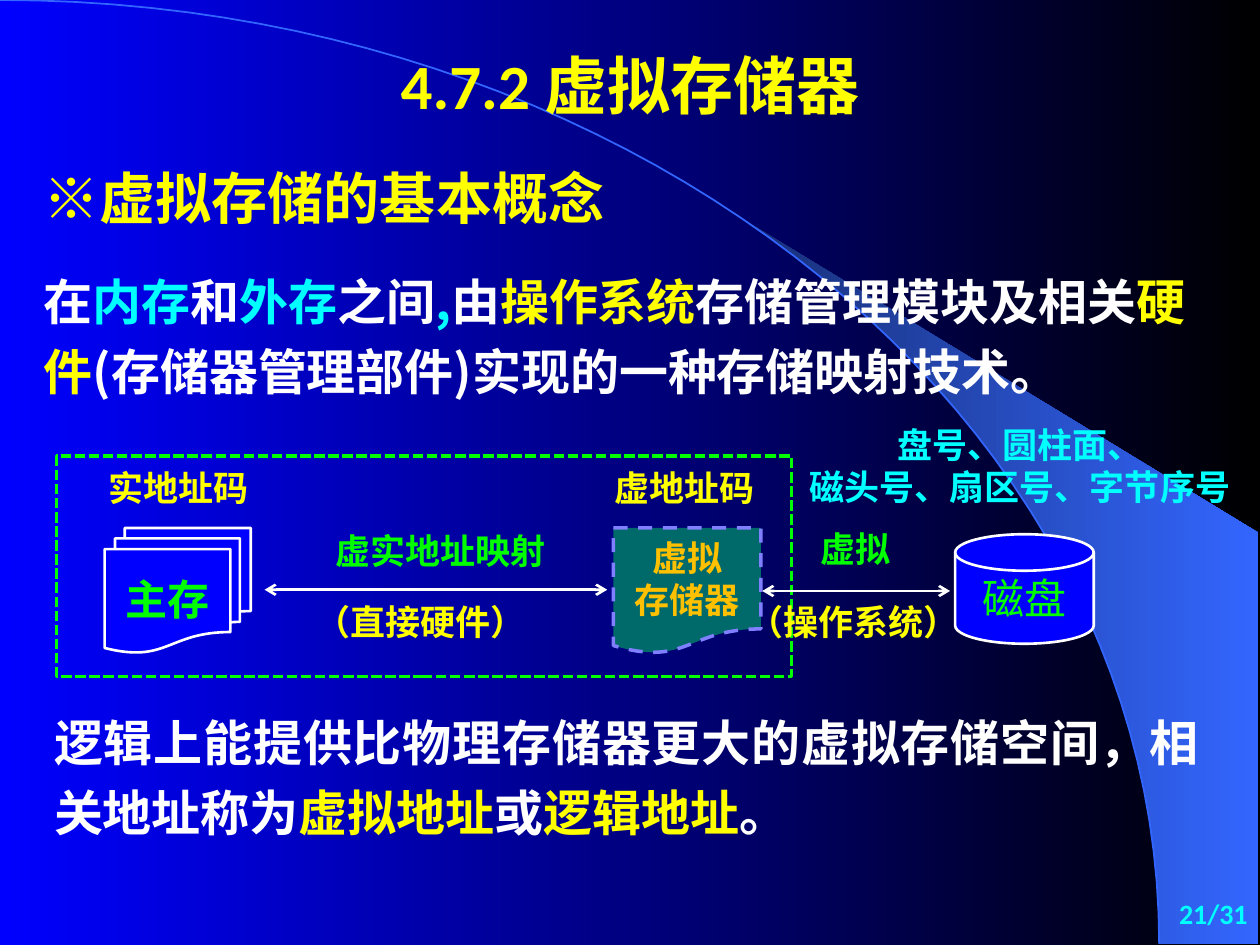
from lxml import etree
from pptx import Presentation
from pptx import util as u
from pptx.dml.color import RGBColor
from pptx.enum import dml, shapes, text
from pptx.oxml.ns import qn

Pt = u.Pt
CJK = "Noto Sans CJK SC"
WHITE, YELLOW, CYAN, GREEN, BLUE = "FFFFFF", "FFFF00", "00FFFF", "00FF00", "0000FF"
ALIGN, ANCHOR = text.PP_ALIGN, text.MSO_ANCHOR
KIND, DASH = shapes.MSO_SHAPE, dml.MSO_LINE


def color(value):
    return RGBColor.from_string(value)


def write(shape, paragraphs, size, font="Arial", bold=True, spacing=None,
          align=ALIGN.CENTER, anchor=ANCHOR.MIDDLE, wrap=False):
    frame = shape.text_frame
    margins = {"margin_left": 7.2, "margin_right": 7.2, "margin_top": 3.6, "margin_bottom": 3.6}
    for name, value in margins.items():
        setattr(frame, name, Pt(value))
    for name, value in {"word_wrap": wrap, "vertical_anchor": anchor}.items():
        setattr(frame, name, value)
    for index, runs in enumerate(paragraphs):
        paragraph = frame.add_paragraph() if index else frame.paragraphs[0]
        layout = {"alignment": align, "line_spacing": spacing, "space_before": Pt(0)}
        for name, value in layout.items():
            setattr(paragraph, name, value)
        for words, run_color in runs:
            run = paragraph.add_run()
            run.text = words
            for name, value in {"name": font, "size": Pt(size), "bold": bold}.items():
                setattr(run.font, name, value)
            run.font.color.rgb = color(run_color)
            etree.SubElement(run.font._element, qn("a:ea"), typeface=CJK)


presentation = Presentation()
presentation.slide_width, presentation.slide_height = Pt(720), Pt(540)
slide = presentation.slides.add_slide(presentation.slide_layouts[5])

curve = []
for step in range(51):
    t = step / 50
    x = 3 * 365.8 * t * (1 - t) ** 2 + 3 * 662.4 * t ** 2 * (1 - t) + 662.4 * t ** 3
    y = 3 * 241.2 * t ** 2 * (1 - t) + 539.3 * t ** 3
    curve.append((Pt(x), Pt(y)))

crescent_points = curve[22:] + [(Pt(719.3), Pt(539.3)), (Pt(719.3), Pt(304.6))]
builder = slide.shapes.build_freeform(*crescent_points[0])
builder.add_line_segments(crescent_points[1:], close=True)
crescent = builder.convert_to_shape()
crescent.shadow.inherit = False
crescent.line.fill.background()

builder = slide.shapes.build_freeform(*curve[0])
builder.add_line_segments(curve[1:], close=False)
arc = builder.convert_to_shape()
arc.shadow.inherit = False
arc.fill.background()
arc.line.color.rgb, arc.line.width = color("3366FF"), Pt(1)

gradients = [(slide.background.fill, BLUE, "000000"), (crescent.fill, "182F76", "3366FF")]
for fill, first, last in gradients:
    fill.gradient()
    fill.gradient_angle = 0
    for stop, position, value in zip(fill.gradient_stops, (0, 1), (first, last)):
        stop.position = position
        stop.color.rgb = color(value)

title = slide.shapes.title
slide.shapes._spTree.append(title._element)
for name, value in {"left": 24, "top": 18, "width": 672, "height": 60}.items():
    setattr(title, name, Pt(value))
write(title, [[("4.7.2 虚拟存储器", YELLOW)]], 36, "Calibri", wrap=True)

diagram = [
    (KIND.RECTANGLE, (32.4, 260.6, 419.8, 126), None, GREEN, 2, DASH.SQUARE_DOT, [], {}),
    (KIND.FLOWCHART_MULTIDOCUMENT, (59.8, 301.7, 83.5, 71.3), BLUE, WHITE, 1.5, None,
     [[("主存", GREEN)]], {"size": 24}),
    (KIND.FLOWCHART_MAGNETIC_DISK, (545.8, 305.3, 79.2, 62.6), BLUE, WHITE, 1.5, None,
     [[("磁盘", GREEN)]], {"size": 24, "bold": False}),
    (KIND.FLOWCHART_DOCUMENT, (350.6, 301.7, 84.2, 72), "006A6A", "7F7FFF", 2, DASH.DASH,
     [[("虚拟", "FFC000")], [("存储器", "FFC000")]], {"size": 20, "font": CJK, "wrap": True}),
]
for kind, box, fill, line, width, dash, words, style in diagram:
    shape = slide.shapes.add_shape(kind, *map(Pt, box))
    shape.shadow.inherit = False
    if fill:
        shape.fill.solid()
        shape.fill.fore_color.rgb = color(fill)
    else:
        shape.fill.background()
    shape.line.color.rgb = color(line)
    for name, value in {"width": Pt(width), "dash_style": dash}.items():
        setattr(shape.line, name, value)
    if words:
        write(shape, words, **style)

for start, end, y in [(151.2, 347, 337), (435.6, 542.9, 337.7)]:
    arrow = slide.shapes.add_connector(shapes.MSO_CONNECTOR.STRAIGHT, Pt(start), Pt(y), Pt(end), Pt(y))
    arrow.line.color.rgb, arrow.line.width = color(WHITE), Pt(1.5)
    for tag in ("a:headEnd", "a:tailEnd"):
        etree.SubElement(arrow.line._get_or_add_ln(), qn(tag), type="arrow")
    etree.SubElement(arrow._element.spPr, qn("a:effectLst"))

definition = [
    ("在", WHITE), ("内存", CYAN), ("和", WHITE), ("外存", CYAN), ("之间", WHITE), (",", CYAN),
    ("由", WHITE), ("操作系统", YELLOW), ("存储管理模块及相关", WHITE), ("硬件", YELLOW),
    ("(存储器管理部件)实现的一种存储映射技术。", WHITE),
]
conclusion = [
    ("逻辑上能提供比物理存储器更大的虚拟存储空间，相关地址称为", WHITE),
    ("虚拟地址", YELLOW), ("或", WHITE), ("逻辑地址", YELLOW), ("。", WHITE),
]
prose = {"font": CJK, "anchor": ANCHOR.TOP, "wrap": True}
label = {"size": 20}
text_boxes = [
    ((18, 90, 360, 54), [[("※虚拟存储的基本概念", YELLOW)]],
     {**prose, "size": 32, "align": ALIGN.JUSTIFY}),
    ((18, 144.7, 671.8, 87.8), [definition],
     {**prose, "size": 28, "spacing": 1.2, "align": ALIGN.LEFT}),
    ((23.8, 396.7, 668.9, 87.8), [conclusion],
     {**prose, "size": 28, "spacing": 1.2, "align": ALIGN.JUSTIFY}),
    ((175, 291.6, 153.4, 45.4), [[("虚实地址映射", GREEN)]], label),
    ((452.9, 290.9, 72, 45.4), [[("虚拟", GREEN)]], label),
    ((170.1, 332.6, 140, 45.4), [[("（直接硬件）", YELLOW)]], label),
    ((417.8, 332.6, 140, 45.4), [[("（操作系统）", YELLOW)]], label),
    ((52.2, 255.6, 100, 45.4), [[("实地址码", YELLOW)]], label),
    ((341, 255.6, 100, 45.4), [[("虚地址码", YELLOW)]], label),
    ((447.8, 236.2, 270, 59.8),
     [[("盘号、圆柱面、", CYAN)], [("磁头号、扇区号、字节序号", CYAN)]], label),
    ((570.2, 504, 149.8, 36), [[("21/31", CYAN)]],
     {"size": 16, "font": "Calibri", "align": ALIGN.RIGHT, "wrap": True}),
]
for box, words, style in text_boxes:
    write(slide.shapes.add_textbox(*map(Pt, box)), words, **style)

presentation.save("out.pptx")
